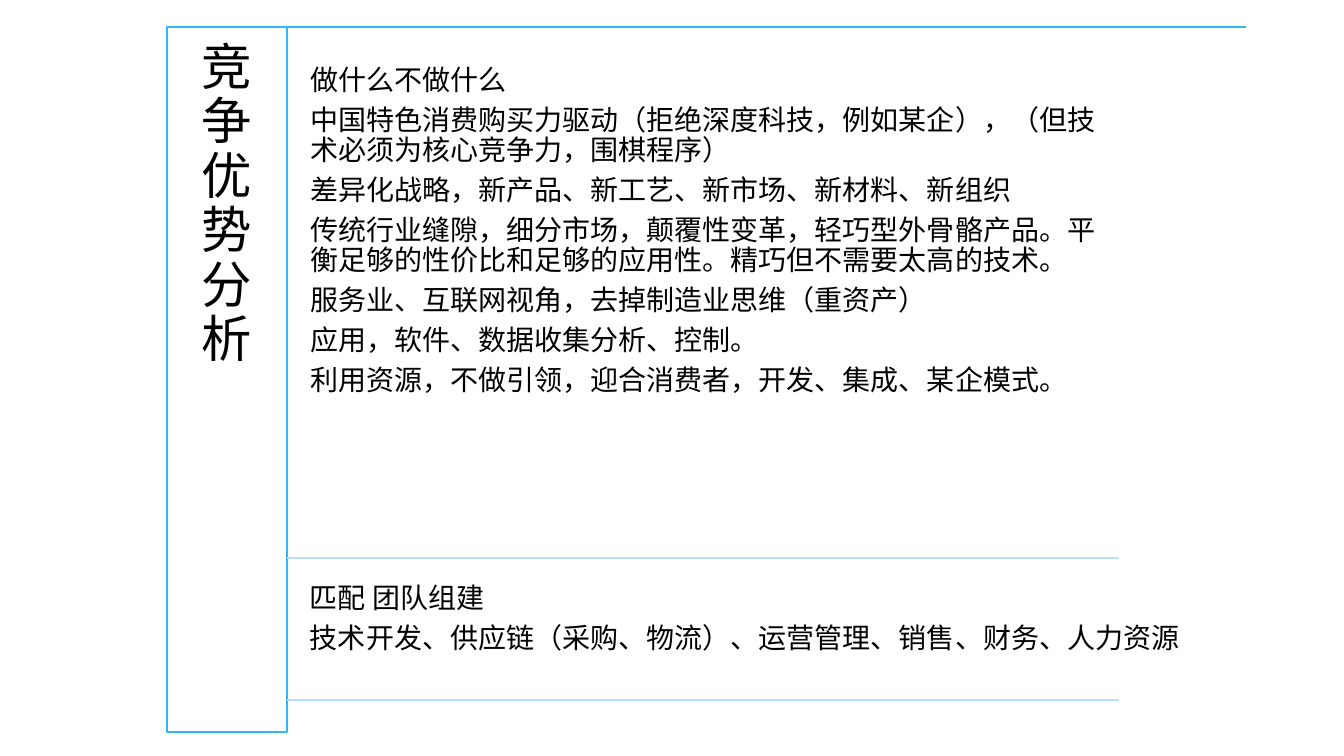
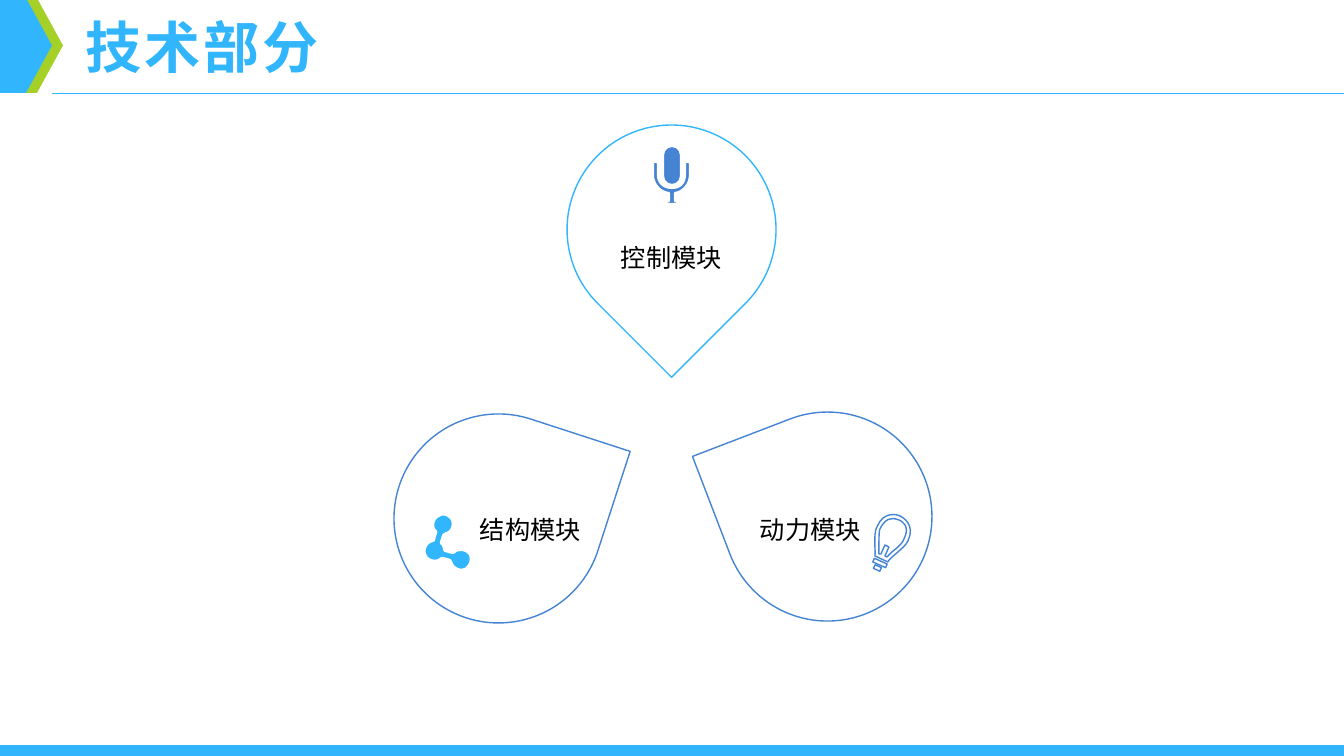
from collections import namedtuple
from dataclasses import dataclass

from lxml import etree
from pptx import Presentation
from pptx import util as u
from pptx.dml.color import RGBColor
from pptx.enum import shapes, text
from pptx.oxml import ns

PX = 914400 / 100.8
CURVE_STEPS = 8
UNITS_PER_PX = 20

Box = namedtuple("Box", "left top width height")


@dataclass(frozen=True)
class Theme:
    font: str = "Arial"
    sky: str = "31B6FD"
    blue: str = "4584D3"
    green: str = "A5D028"
    pale: str = "BEDEFE"
    white: str = "FFFFFF"
    black: str = "000000"
    title: int = 40
    side_title: int = 36
    body: int = 20
    label: int = 18
    line: float = 1
    hairline: float = 0.5
    icon_line: float = 1.5


THEME = Theme()

PRESET = shapes.MSO_SHAPE
SLIDE = Box(0, 0, 1344, 756)

STRATEGY = [
    "做什么不做什么",
    "中国特色消费购买力驱动（拒绝深度科技，例如某企），（但技术必须为核心竞争力，围棋程序）",
    "差异化战略，新产品、新工艺、新市场、新材料、新组织",
    "传统行业缝隙，细分市场，颠覆性变革，轻巧型外骨骼产品。平衡足够的性价比和足够的应用性。精巧但不需要太高的技术。",
    "服务业、互联网视角，去掉制造业思维（重资产）",
    "应用，软件、数据收集分析、控制。",
    "利用资源，不做引领，迎合消费者，开发、集成、某企模式。",
]
TEAM = [
    "匹配 团队组建",
    "技术开发、供应链（采购、物流）、运营管理、销售、财务、人力资源",
]

# Outlines in px: the first pair is the start, then pairs are lines and sixes are curves.
MICROPHONE_STAND = [
    (37, 14), (37, 3), (37, 0, 32, 0, 32, 3), (32, 14), (32, 22, 27, 27, 19, 27),
    (11, 27, 5, 22, 5, 14), (5, 3), (5, 0, 0, 0, 0, 3), (0, 14),
    (0, 23, 7, 31, 16, 32), (16, 40), (5, 43), (33, 43), (22, 40), (22, 32),
    (30, 31, 37, 23, 37, 14),
]
BULB_GLASS = [
    (27, 6), (25, 5, 11, 0, 4, 17), (0, 24, 3, 42, 2, 46), (15, 52),
    (16, 48, 32, 38, 35, 31), (43, 14, 29, 7, 27, 6),
]
BULB_FILAMENT = [
    (14, 47), (12, 46), (16, 37), (12, 35), (8, 44), (6, 44), (6, 36),
    (6, 30, 6, 22, 7, 19), (10, 13, 14, 9, 18, 9), (22, 8, 25, 10, 26, 10),
    (26, 10, 29, 11, 32, 15), (34, 18, 34, 23, 31, 29), (30, 33, 24, 38, 19, 42),
    (17, 44, 15, 46, 14, 47),
]
MOLECULE = [
    (33, 38), (32, 39, 31, 40, 29, 40), (22, 38), (22, 38, 21, 37, 21, 36),
    (21, 35, 20, 32, 19, 31), (18, 31, 18, 30, 18, 29), (20, 23),
    (20, 22, 21, 21, 24, 20), (29, 18, 31, 12, 29, 7), (26, 2, 20, 0, 16, 3),
    (11, 5, 9, 11, 11, 16), (12, 17, 14, 19, 13, 20), (11, 27),
    (11, 28, 10, 28, 7, 29), (2, 32, 0, 38, 3, 43), (5, 47, 11, 49, 16, 47),
    (17, 46, 18, 45, 20, 45), (27, 47), (27, 47, 28, 48, 29, 51),
    (32, 56, 37, 58, 42, 56), (47, 53, 49, 47, 47, 42), (44, 37, 38, 36, 33, 38),
]


def emu(pixels):
    return u.Emu(round(pixels * PX))


def color(value):
    return RGBColor.from_string(value)


def paint(shape, fill, line=None, weight=THEME.line):
    shape.shadow.inherit = False
    shape.fill.solid()
    shape.fill.fore_color.rgb = color(fill)
    if line:
        shape.line.color.rgb = color(line)
        shape.line.width = u.Pt(weight)
    else:
        shape.line.fill.background()
    return shape


def add_preset(slide, kind, box, fill, line=None, weight=THEME.line, rotation=0):
    shape = slide.shapes.add_shape(kind, *map(emu, box))
    shape.rotation = rotation
    return paint(shape, fill, line, weight)


def add_rule(slide, left, right, y, line, weight=THEME.line):
    """Draw a horizontal line."""
    rule = slide.shapes.add_connector(
        shapes.MSO_CONNECTOR.STRAIGHT, emu(left), emu(y), emu(right), emu(y))
    rule.line.color.rgb = color(line)
    rule.line.width = u.Pt(weight)
    etree.SubElement(rule._element.spPr, ns.qn("a:effectLst"))


def flatten(outline):
    """Turn lines and cubic curves into points in freeform units."""
    points = [outline[0]]
    for segment in outline[1:]:
        if len(segment) == 2:
            points.append(segment)
            continue
        x0, y0 = points[-1]
        x1, y1, x2, y2, x3, y3 = segment
        for step in range(1, CURVE_STEPS + 1):
            t = step / CURVE_STEPS
            weights = ((1 - t) ** 3, 3 * t * (1 - t) ** 2, 3 * t * t * (1 - t), t ** 3)
            points.append((
                sum(w * x for w, x in zip(weights, (x0, x1, x2, x3))),
                sum(w * y for w, y in zip(weights, (y0, y1, y2, y3)))))
    return [(round(x * UNITS_PER_PX), round(y * UNITS_PER_PX)) for x, y in points]


def add_outline(slide, left, top, outlines, fill, line, weight):
    first, *others = map(flatten, outlines)
    builder = slide.shapes.build_freeform(*first[0], scale=PX / UNITS_PER_PX)
    builder.add_line_segments(first[1:], close=True)
    for points in others:
        builder.move_to(*points[0])
        builder.add_line_segments(points[1:], close=True)
    return paint(builder.convert_to_shape(emu(left), emu(top)), fill, line, weight)


def set_insets(frame, inset):
    frame.margin_left = frame.margin_right = emu(inset)
    frame.margin_top = frame.margin_bottom = emu(inset)


def add_run(paragraph, words, size, ink=THEME.black, bold=False):
    run = paragraph.add_run()
    run.text = words
    run.font.name = THEME.font
    run.font.size = u.Pt(size)
    run.font.bold = bold
    run.font.color.rgb = color(ink)
    return run


def fill_paragraphs(frame, lines, size, align=text.PP_ALIGN.LEFT):
    frame.word_wrap = True
    frame.vertical_anchor = text.MSO_ANCHOR.TOP
    for index, words in enumerate(lines):
        paragraph = frame.add_paragraph() if index else frame.paragraphs[0]
        paragraph.alignment = align
        paragraph.line_spacing = 0.9
        paragraph.space_after = u.Pt(round(size * 0.35))
        add_run(paragraph, words, size)


def add_body(slide, box, lines):
    frame = slide.shapes.add_textbox(*map(emu, box)).text_frame
    set_insets(frame, 8)
    fill_paragraphs(frame, lines, THEME.body)


def add_caption(slide, box, words, size, ink=THEME.black, bold=False):
    """Add one unwrapped line of text."""
    frame = slide.shapes.add_textbox(*map(emu, box)).text_frame
    frame.word_wrap = False
    frame.auto_size = text.MSO_AUTO_SIZE.SHAPE_TO_FIT_TEXT
    return add_run(frame.paragraphs[0], words, size, ink, bold)


def add_side_title(slide, box, words):
    panel = add_preset(slide, PRESET.RECTANGLE, box, THEME.white, THEME.sky)
    set_insets(panel.text_frame, 15)
    fill_paragraphs(panel.text_frame, [words], THEME.side_title, text.PP_ALIGN.CENTER)


def add_title_band(slide, box, words):
    arrow_width = 52
    for offset, fill in ((11, THEME.green), (0, THEME.sky)):
        arrow = Box(box.left + offset, box.top, arrow_width, box.height)
        add_preset(slide, PRESET.PENTAGON, arrow, fill)
    title = Box(box.left + 76, box.top + 10, 258, 78)
    run = add_caption(slide, title, words, THEME.title, THEME.sky, bold=True)
    run._r.get_or_add_rPr().set("spc", "200")
    add_rule(slide, box.left + arrow_width, box.left + box.width,
             box.top + box.height, THEME.sky, THEME.hairline)


def add_footer(slide):
    height = 11
    bar = Box(0, SLIDE.height - height, SLIDE.width, height)
    add_preset(slide, PRESET.RECTANGLE, bar, THEME.sky)


def draw_microphone(slide, left, top):
    style = THEME.blue, THEME.white, THEME.icon_line
    add_outline(slide, left, top + 15, [MICROPHONE_STAND], *style)
    capsule = add_preset(slide, PRESET.ROUNDED_RECTANGLE,
                         Box(left + 10, top, 18, 39), *style)
    capsule.adjustments[0] = 0.5


def draw_bulb(slide, left, top):
    style = THEME.white, THEME.blue, THEME.line
    add_outline(slide, left, top, [BULB_GLASS, BULB_FILAMENT], *style)
    for x, y, width in ((0, 51, 14), (1, 56, 7)):
        add_preset(slide, PRESET.RECTANGLE, Box(left + x, top + y, width, 4),
                   *style, rotation=24)


def draw_molecule(slide, left, top):
    add_outline(slide, left, top, [MOLECULE], THEME.sky, THEME.white, THEME.icon_line)


def add_module(slide, box, rotation, line, words, label_at, draw_icon, icon_at):
    """Place a drop with its label and icon, both offset from the drop's box."""
    add_preset(slide, PRESET.TEAR, box, THEME.white, line, rotation=rotation)
    draw_icon(slide, box.left + icon_at[0], box.top + icon_at[1])
    label = Box(box.left + label_at[0], box.top + label_at[1], 122, 40)
    add_caption(slide, label, words, THEME.label)


def build_advantage_slide(slide, box):
    side_width = 120
    column = box.left + side_width
    text_left = column + 15
    add_rule(slide, box.left, box.left + box.width, box.top, THEME.sky)
    add_side_title(slide, Box(box.left, box.top, side_width, box.height), "竞争优势分析")
    add_body(slide, Box(text_left, box.top + 31, 817, 500), STRATEGY)
    add_body(slide, Box(text_left, box.top + 549, 943, 109), TEAM)
    for offset in (531, 673):
        add_rule(slide, column, column + 832, box.top + offset, THEME.pale)


def build_technology_slide(slide, box):
    add_title_band(slide, Box(box.left, box.top - 2, box.width, 95), "技术部分")
    add_footer(slide)
    size = 209
    modules = [
        (567, 125, 135, THEME.sky, "控制模块", (44, 112), draw_microphone, (86, 21)),
        (723, 412, 249, THEME.blue, "动力模块", (27, 97), draw_bulb, (150, 98)),
        (394, 414, 18, THEME.blue, "结构模块", (76, 95), draw_molecule, (29, 99)),
    ]
    for left, top, *details in modules:
        add_module(slide, Box(box.left + left, box.top + top, size, size), *details)


def main():
    presentation = Presentation()
    presentation.slide_width = emu(SLIDE.width)
    presentation.slide_height = emu(SLIDE.height)
    blank = presentation.slide_layouts[6]
    build_advantage_slide(presentation.slides.add_slide(blank), Box(167, 27, 1079, 705))
    build_technology_slide(presentation.slides.add_slide(blank), SLIDE)
    presentation.save("out.pptx")


if __name__ == "__main__":
    main()
